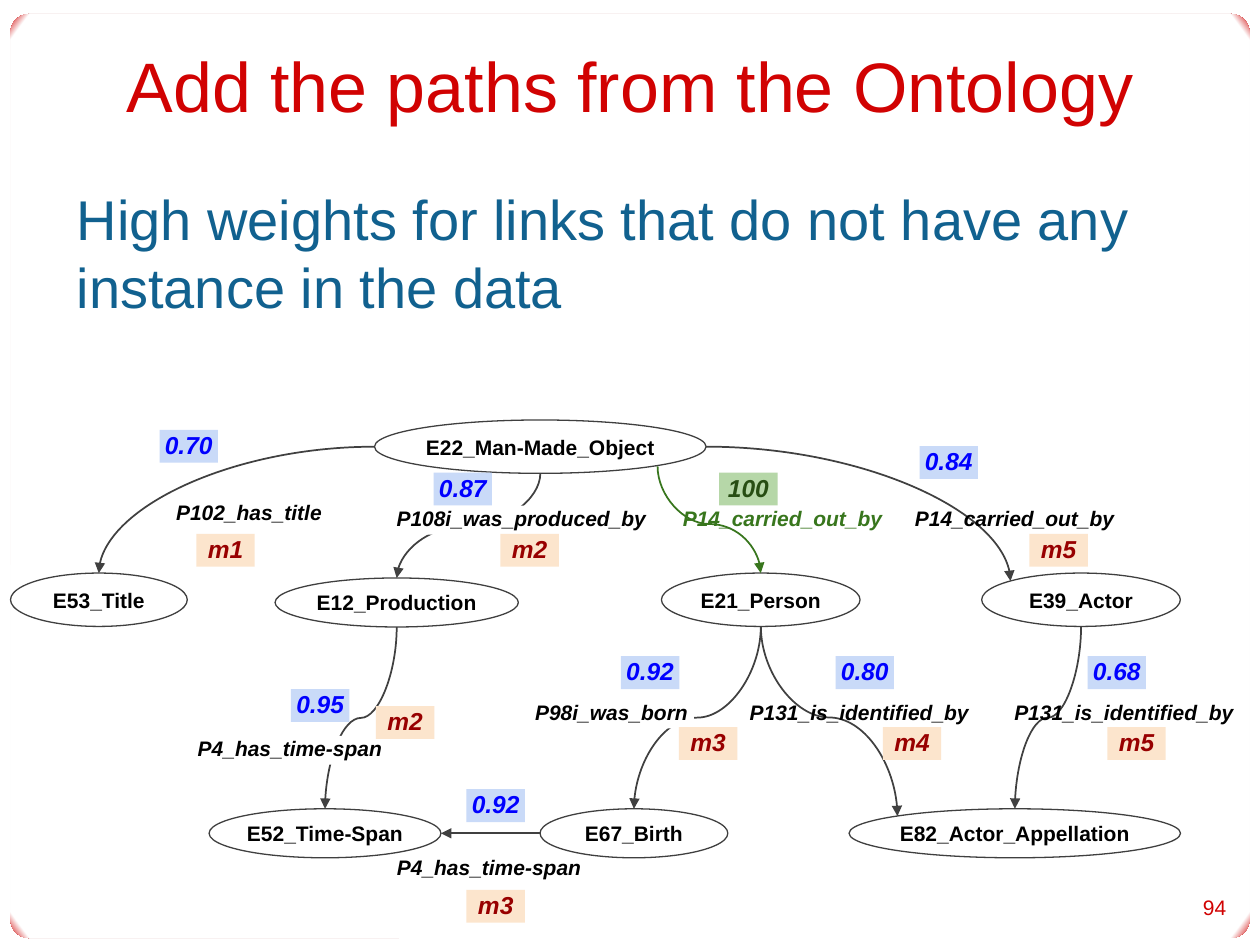
from dataclasses import dataclass

from lxml import etree
from pptx import Presentation
from pptx.dml.color import RGBColor
from pptx.enum.shapes import MSO_CONNECTOR, MSO_SHAPE
from pptx.enum.text import MSO_ANCHOR, PP_ALIGN
from pptx.oxml import parse_xml
from pptx.oxml.ns import nsdecls, qn
from pptx.util import Pt

CURVE = MSO_CONNECTOR.CURVE
OVAL, RECT, ROUNDED = MSO_SHAPE.OVAL, MSO_SHAPE.RECTANGLE, MSO_SHAPE.ROUNDED_RECTANGLE
TOP, MIDDLE = MSO_ANCHOR.TOP, MSO_ANCHOR.MIDDLE
LEFT, CENTER, RIGHT = PP_ALIGN.LEFT, PP_ALIGN.CENTER, PP_ALIGN.RIGHT

WHITE = RGBColor(0xFF, 0xFF, 0xFF)
BLACK = RGBColor(0x00, 0x00, 0x00)
RED = RGBColor(0xD1, 0x02, 0x02)
TEAL = RGBColor(0x11, 0x61, 0x8F)
OUTLINE = RGBColor(0x3F, 0x3F, 0x3F)
GRAY = RGBColor(0x40, 0x40, 0x40)
GREEN = RGBColor(0x38, 0x76, 0x1D)
DARK_GREEN = RGBColor(0x27, 0x4E, 0x13)
PALE_GREEN = RGBColor(0xB6, 0xD7, 0xA8)
BLUE = RGBColor(0x00, 0x00, 0xFF)
PALE_BLUE = RGBColor(0xC9, 0xDA, 0xF8)
MAROON = RGBColor(0x98, 0x00, 0x00)
PEACH = RGBColor(0xFC, 0xE5, 0xCD)

TAG_W, TAG_H, LABEL_H = 33.4, 18.8, 16.5
Point = tuple[float, float]


@dataclass
class Node:
    text: str
    x: float
    y: float
    w: float
    h: float

    def side(self, fx: float, fy: float) -> Point:
        return self.x + self.w * fx, self.y + self.h * fy

    def top(self) -> Point:
        return self.side(0.5, 0)

    def bottom(self) -> Point:
        return self.side(0.5, 1)

    def left(self) -> Point:
        return self.side(0, 0.5)

    def right(self) -> Point:
        return self.side(1, 0.5)


@dataclass
class Label:
    text: str
    x: float
    y: float
    w: float
    filled: bool = False
    color: RGBColor = BLACK


@dataclass
class TagStyle:
    fill: RGBColor
    color: RGBColor
    items: list[tuple[str, float, float]]


def write(sp, text: str, size: float, color: RGBColor, align=LEFT, anchor=TOP,
          inset: Point = (7.2, 3.6), bold: bool = False, italic: bool = False) -> None:
    tf = sp.text_frame
    tf.word_wrap = True
    tf.vertical_anchor = anchor
    tf.margin_left = tf.margin_right = Pt(inset[0])
    tf.margin_top = tf.margin_bottom = Pt(inset[1])
    p = tf.paragraphs[0]
    p.alignment = align
    r = p.add_run()
    r.text = text
    r.font.name = "Arial"
    r.font.size = Pt(size)
    r.font.color.rgb = color
    r.font.bold, r.font.italic = bold, italic


def add_shape(s, kind, x: float, y: float, w: float, h: float, fill: RGBColor):
    sp = s.shapes.add_shape(kind, Pt(x), Pt(y), Pt(w), Pt(h))
    sp.shadow.inherit = False
    sp.fill.solid()
    sp.fill.fore_color.rgb = fill
    sp.line.fill.background()
    return sp


def add_text(s, x: float, y: float, w: float, h: float, text: str,
             size: float, color: RGBColor, **style) -> None:
    sp = s.shapes.add_textbox(Pt(x), Pt(y), Pt(w), Pt(h))
    write(sp, text, size, color, **style)


def add_frame(s) -> None:
    sp = add_shape(s, ROUNDED, 6, 8, 708, 528, WHITE)
    sp.adjustments[0] = 0.02
    solid = sp._element.spPr.find(qn("a:solidFill"))
    stops = "".join(f'<a:gs pos="{pos}"><a:srgbClr val="{color}"/></a:gs>'
                    for pos, color in ((0, WHITE), (98000, WHITE), (100000, RED)))
    solid.getparent().replace(solid, parse_xml(
        f'<a:gradFill {nsdecls("a")} rotWithShape="1"><a:gsLst>{stops}</a:gsLst>'
        '<a:path path="circle"><a:fillToRect l="50000" t="50000" r="50000" b="50000"/>'
        '</a:path></a:gradFill>'))


def add_node(s, node: Node) -> None:
    sp = add_shape(s, OVAL, node.x, node.y, node.w, node.h, WHITE)
    sp.line.color.rgb = OUTLINE
    sp.line.width = Pt(0.75)
    write(sp, node.text, 12, BLACK, align=CENTER, anchor=MIDDLE, inset=(0, 3.6), bold=True)


def add_arrow(s, start: Point, end: Point, color: RGBColor = GRAY):
    c = s.shapes.add_connector(CURVE, *(Pt(v) for v in start + end))
    c.line.color.rgb = color
    c.line.width = Pt(1)
    etree.SubElement(c.line._get_or_add_ln(), qn("a:tailEnd"), type="triangle")
    etree.SubElement(c._element.spPr, qn("a:effectLst"))
    return c


def add_bend(s, start: Point, end: Point) -> None:
    c = add_arrow(s, start, end)
    c._element.spPr.find(qn("a:prstGeom")).set("prst", "curvedConnector2")


def add_drop(s, start: Point, end: Point, color: RGBColor = GRAY, adj: float = 0.5) -> None:
    cx, cy = (start[0] + end[0]) / 2, (start[1] + end[1]) / 2
    half_w, half_h = (end[1] - start[1]) / 2, abs(end[0] - start[0]) / 2
    turn = 90 if end[0] < start[0] else 270
    if turn == 270:
        half_w = -half_w
    c = add_arrow(s, (cx - half_w, cy - half_h), (cx + half_w, cy + half_h), color)
    spPr = c._element.spPr
    spPr.find(qn("a:xfrm")).set("rot", str(turn * 60000))
    av = spPr.find(qn("a:prstGeom")).find(qn("a:avLst"))
    etree.SubElement(av, qn("a:gd"), name="adj1", fmla=f"val {round(adj * 100000)}")


def add_label(s, label: Label) -> None:
    style = dict(inset=(0, 0), bold=True, italic=True)
    if label.filled:
        sp = add_shape(s, RECT, label.x, label.y, label.w, LABEL_H, WHITE)
        write(sp, label.text, 12, label.color, **style)
    else:
        add_text(s, label.x, label.y, label.w, LABEL_H, label.text, 12, label.color, **style)


OBJECT = Node("E22_Man-Made_Object", 214, 240, 189.5, 30.5)
TITLE = Node("E53_Title", 6, 327.5, 101, 30.5)
PRODUCTION = Node("E12_Production", 157.2, 330.3, 139, 28)
PERSON = Node("E21_Person", 378, 327.5, 113.5, 30.5)
ACTOR = Node("E39_Actor", 561, 327.5, 113.5, 30.5)
SPAN = Node("E52_Time-Span", 119.5, 462.2, 132.5, 28)
BIRTH = Node("E67_Birth", 308.6, 462.2, 107.3, 28)
APPELLATION = Node("E82_Actor_Appellation", 485.2, 462.2, 189.4, 28)
NODES = [OBJECT, TITLE, PRODUCTION, PERSON, ACTOR, SPAN, BIRTH, APPELLATION]

BENDS = [(OBJECT.left(), TITLE.top()), (OBJECT.right(), (577.4, 332))]
DROPS = [(OBJECT.bottom(), PRODUCTION.top()), (PRODUCTION.bottom(), SPAN.top()),
         (PERSON.bottom(), BIRTH.top()), (ACTOR.bottom(), APPELLATION.top())]
LABELS = [
    Label("P102_has_title", 100.6, 285.6, 87),
    Label("P108i_was_produced_by", 226.6, 289, 146, True),
    Label("P14_carried_out_by", 390.2, 289, 117.5, color=GREEN),
    Label("P14_carried_out_by", 522.8, 289, 117.5),
    Label("P98i_was_born", 305.8, 399.8, 90.7, True),
    Label("P131_is_identified_by", 428.4, 399.8, 127.5),
    Label("P131_is_identified_by", 579.6, 399.8, 127.5),
    Label("P4_has_time-span", 113, 420.5, 109.5, True),
    Label("P4_has_time-span", 226.8, 488.2, 109.5),
]
TAGS = [
    TagStyle(PALE_BLUE, BLUE, [
        ("0.70", 91.2, 245.6), ("0.87", 247.8, 270), ("0.84", 525.5, 254.9),
        ("0.95", 166.3, 393.8), ("0.92", 354.8, 375), ("0.80", 477.5, 375),
        ("0.68", 621.5, 375), ("0.92", 266.6, 451)]),
    TagStyle(PEACH, MAROON, [
        ("m1", 112.2, 305), ("m2", 286, 305), ("m5", 588.3, 305),
        ("m2", 214.8, 403.5), ("m3", 388, 415.5), ("m4", 504.5, 415.5),
        ("m5", 632.8, 415.5), ("m3", 266.6, 508.5)]),
    TagStyle(PALE_GREEN, DARK_GREEN, [("100", 411, 270)]),
]


def main() -> None:
    prs = Presentation()
    prs.slide_width, prs.slide_height = Pt(720), Pt(540)
    s = prs.slides.add_slide(prs.slide_layouts[6])
    add_frame(s)
    add_text(s, 36.7, 102.2, 647.3, 396, "High weights for links that do not have any "
             "instance in the data", 32, TEAL)
    add_text(s, 36, 12.2, 648, 72, "Add the paths from the Ontology", 40, RED,
             align=CENTER, anchor=MIDDLE)
    add_text(s, 666, 507, 41.8, 23, "94", 12, RED, align=RIGHT, anchor=MIDDLE)
    for node in NODES:
        add_node(s, node)
    for start, end in BENDS:
        add_bend(s, start, end)
    for start, end in DROPS:
        add_drop(s, start, end)
    add_drop(s, PERSON.bottom(), (512.8, 466.4), adj=0.48)
    add_drop(s, (375.8, 266.5), PERSON.top(), GREEN, 0.54)
    add_arrow(s, BIRTH.left(), SPAN.right())
    for label in LABELS:
        add_label(s, label)
    for style in TAGS:
        for text, x, y in style.items:
            sp = add_shape(s, RECT, x, y, TAG_W, TAG_H, style.fill)
            write(sp, text, 14, style.color, align=CENTER, inset=(0, 0), bold=True, italic=True)
    prs.save("out.pptx")


if __name__ == "__main__":
    main()
